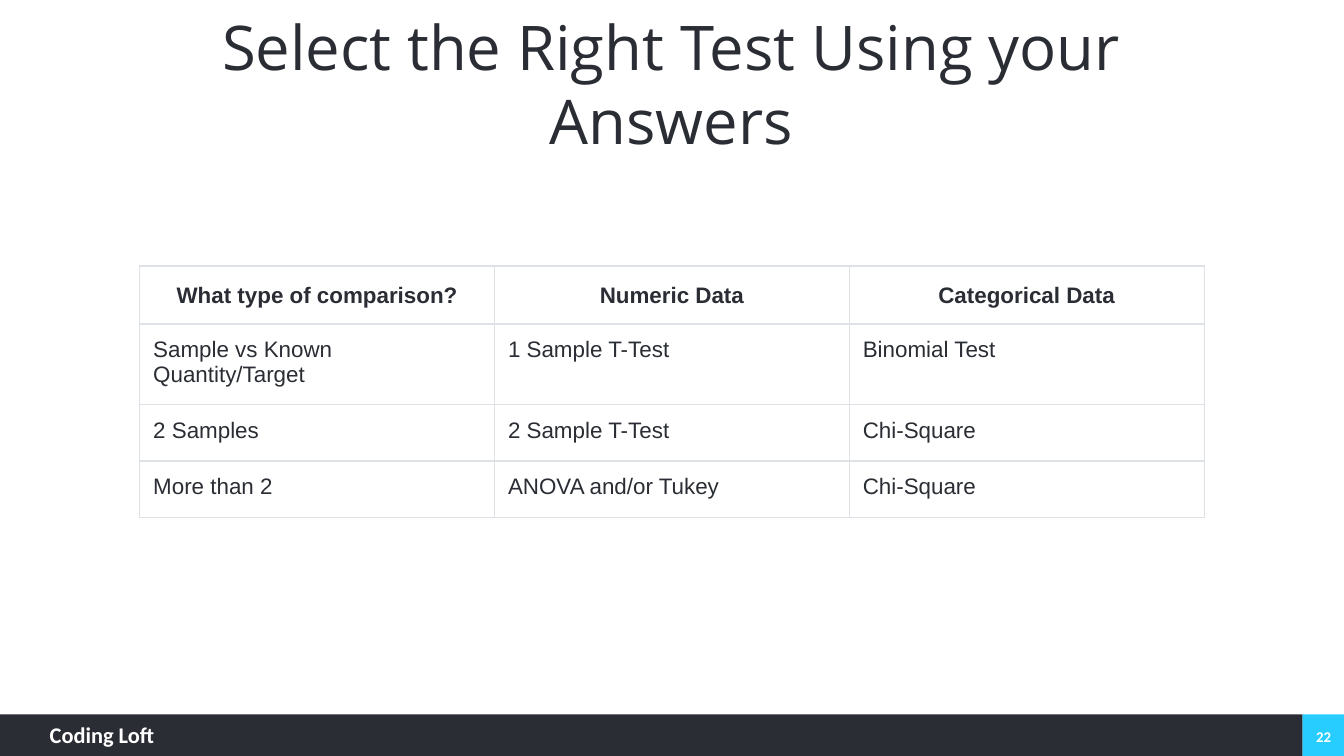
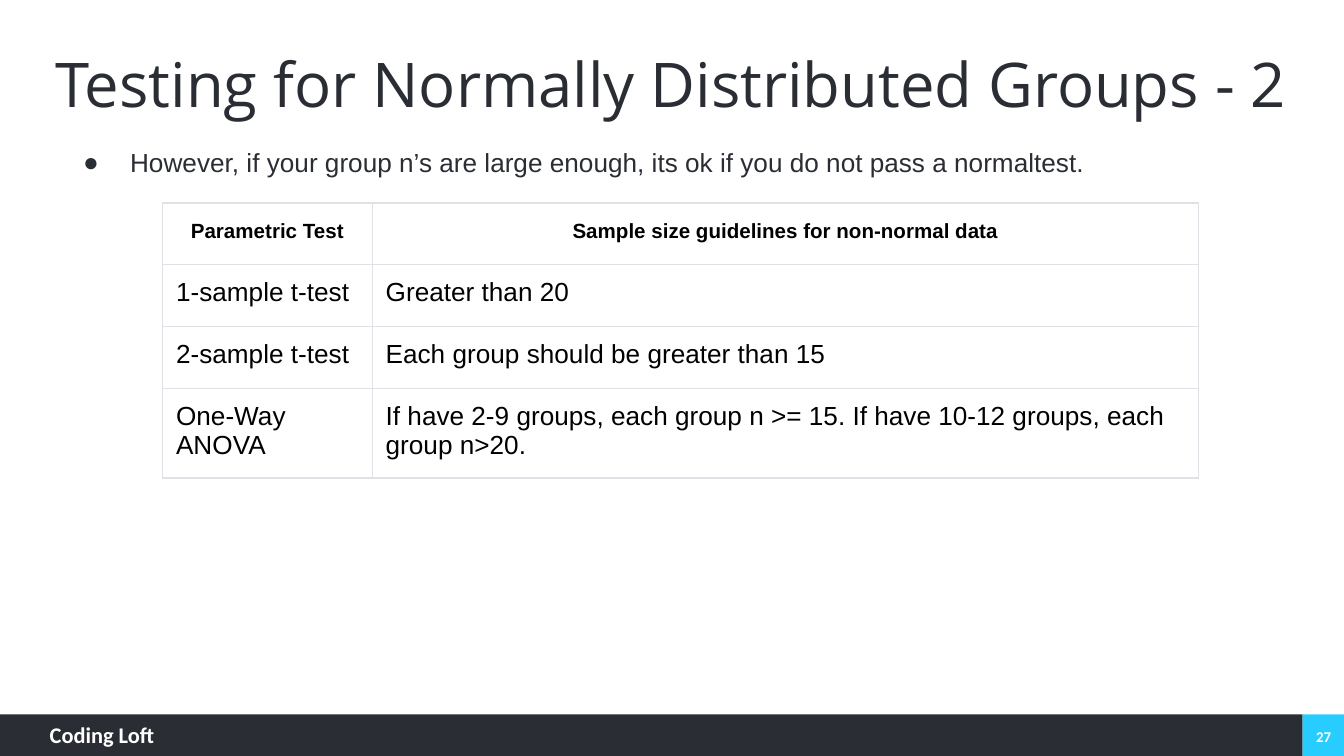
from dataclasses import dataclass

from pptx import Presentation
from pptx.dml.color import RGBColor
from pptx.enum.shapes import MSO_SHAPE as Shape
from pptx.enum.text import MSO_ANCHOR as Anchor, PP_ALIGN as Align
from pptx.oxml.ns import qn
from pptx.util import Inches, Pt
from lxml.etree import SubElement


@dataclass(frozen=True)
class Theme:
    ink: str = "2A2D34"
    accent: str = "28CDFF"
    white: str = "FFFFFF"
    black: str = "000000"
    grid: str = "DEE2E6"
    title_font: str = "Open Sans"
    body_font: str = "Arial"
    footer_font: str = "Calibri"
    title_size: int = 33
    body_size: int = 14
    table_size: int = 12
    small_header_size: int = 11
    footer_size: int = 12
    number_size: int = 8
    grid_width: float = 0.75


THEME = Theme()
WIDTH = 10
HEIGHT = WIDTH * 9 / 16
BAND = 0.31
BAND_TOP = HEIGHT - BAND


def add_run(paragraph, text, font_name, size, color, bold=False):
    run = paragraph.add_run()
    run.text = text
    font = run.font
    font.name, font.size, font.bold = font_name, Pt(size), bold
    font.color.rgb = RGBColor.from_string(color)
    SubElement(paragraph._p, qn("a:endParaRPr"), sz=str(size * 100))


def set_margins(target, horizontal, vertical):
    target.margin_left = target.margin_right = Inches(horizontal)
    target.margin_top = target.margin_bottom = Inches(vertical)


def add_text(slide, box, text, font_name, size, color, bold=False,
             align=Align.LEFT, anchor=Anchor.TOP, margins=(0, 0)):
    frame = slide.shapes.add_textbox(*map(Inches, box)).text_frame
    frame.word_wrap = True
    frame.vertical_anchor = anchor
    set_margins(frame, *margins)
    paragraph = frame.paragraphs[0]
    paragraph.alignment = align
    add_run(paragraph, text, font_name, size, color, bold)
    return paragraph


def add_band(slide, left, width, color):
    band = slide.shapes.add_shape(
        Shape.RECTANGLE, *map(Inches, (left, BAND_TOP, width, BAND)))
    band.shadow.inherit = False
    band.fill.solid()
    band.fill.fore_color.rgb = RGBColor.from_string(color)
    band.line.fill.background()


def add_footer(slide, number):
    add_band(slide, WIDTH - BAND, BAND, THEME.accent)
    add_band(slide, 0, WIDTH - BAND, THEME.ink)
    add_text(slide, (0.37, HEIGHT - 0.26, 1.57, 0.23), "Coding Loft",
             THEME.footer_font, THEME.footer_size, THEME.white, bold=True)
    add_text(slide, (9.7, 5.33, 0.3, 0.3), str(number),
             THEME.footer_font, THEME.number_size, THEME.white, bold=True,
             align=Align.CENTER, anchor=Anchor.MIDDLE, margins=(0.07, 0.04))


def add_title(slide, text, left, width):
    add_text(slide, (left, 0.15, width, 0.94), text,
             THEME.title_font, THEME.title_size, THEME.ink,
             align=Align.CENTER, anchor=Anchor.MIDDLE, margins=(0.02, 0.02))


def add_bullet(slide, box, text):
    paragraph = add_text(slide, box, text, THEME.body_font, THEME.body_size,
                         THEME.ink, margins=(0.1, 0.1))
    properties = paragraph._p.get_or_add_pPr()
    properties.set("marL", str(Inches(0.5)))
    properties.set("indent", str(Inches(-0.35)))
    bullet_color = SubElement(properties, qn("a:buClr"))
    SubElement(bullet_color, qn("a:srgbClr"), val=THEME.ink)
    SubElement(properties, qn("a:buSzPts"), val=str(THEME.body_size * 100))
    SubElement(properties, qn("a:buFont"), typeface=THEME.body_font)
    SubElement(properties, qn("a:buChar"), char="●")


def add_borders(cell):
    properties = cell._tc.get_or_add_tcPr()
    for side in ("lnL", "lnR", "lnT", "lnB"):
        border = SubElement(properties, qn(f"a:{side}"),
                            w=str(Pt(THEME.grid_width)))
        fill = SubElement(border, qn("a:solidFill"))
        SubElement(fill, qn("a:srgbClr"), val=THEME.grid)


def fill_cell(cell, text, size, color, header):
    set_margins(cell, 0.1, 0.1)
    add_borders(cell)
    cell.fill.background()
    paragraph = cell.text_frame.paragraphs[0]
    if header:
        paragraph.alignment = Align.CENTER
        paragraph.line_spacing = 1.15
    add_run(paragraph, text, THEME.body_font, size, color, bold=header)


def add_grid(slide, left, top, widths, heights, rows, header_size, size, color):
    table = slide.shapes.add_table(
        len(rows), len(widths),
        *map(Inches, (left, top, sum(widths), sum(heights)))).table
    table.first_row = table.horz_banding = False
    for column, width in zip(table.columns, widths):
        column.width = Inches(width)
    for index, (row, height, texts) in enumerate(zip(table.rows, heights, rows)):
        row.height = Inches(height)
        header = index == 0
        for cell, text in zip(row.cells, texts):
            fill_cell(cell, text, header_size if header else size, color, header)


def add_page(deck, number, title, title_left, title_width):
    slide = deck.slides.add_slide(deck.slide_layouts[6])
    add_footer(slide, number)
    add_title(slide, title, title_left, title_width)
    return slide


def add_test_selection(deck):
    slide = add_page(deck, 22, "Select the Right Test Using your Answers",
                     0.69, 8.61)
    tests = [
        ("What type of comparison?", "Numeric Data", "Categorical Data"),
        ("Sample vs Known Quantity/Target", "1 Sample T-Test", "Binomial Test"),
        ("2 Samples", "2 Sample T-Test", "Chi-Square"),
        ("More than 2", "ANOVA and/or Tukey", "Chi-Square"),
    ]
    add_grid(slide, 1.04, 1.98, [2.64] * 3, [0.42] * 4, tests,
             THEME.table_size, THEME.table_size, THEME.ink)


def add_normality_guidelines(deck):
    slide = add_page(deck, 27, "Testing for Normally Distributed Groups - 2",
                     0.24, 9.51)
    add_bullet(slide, (0.37, 0.99, 9.26, 4.15),
               "However, if your group n’s are large enough, "
               "its ok if you do not pass a normaltest.")
    guidelines = [
        ("Parametric Test", "Sample size guidelines for non-normal data"),
        ("1-sample t-test", "Greater than 20"),
        ("2-sample t-test", "Each group should be greater than 15"),
        ("One-Way ANOVA", "If have 2-9 groups, each group n >= 15. "
                          "If have 10-12 groups, each group n>20."),
    ]
    add_grid(slide, 1.21, 1.51, [1.56, 6.15], [0.46] * 3 + [0.65], guidelines,
             THEME.small_header_size, THEME.body_size, THEME.black)


def main():
    deck = Presentation()
    deck.slide_width, deck.slide_height = Inches(WIDTH), Inches(HEIGHT)
    add_test_selection(deck)
    add_normality_guidelines(deck)
    deck.save("out.pptx")


if __name__ == "__main__":
    main()
